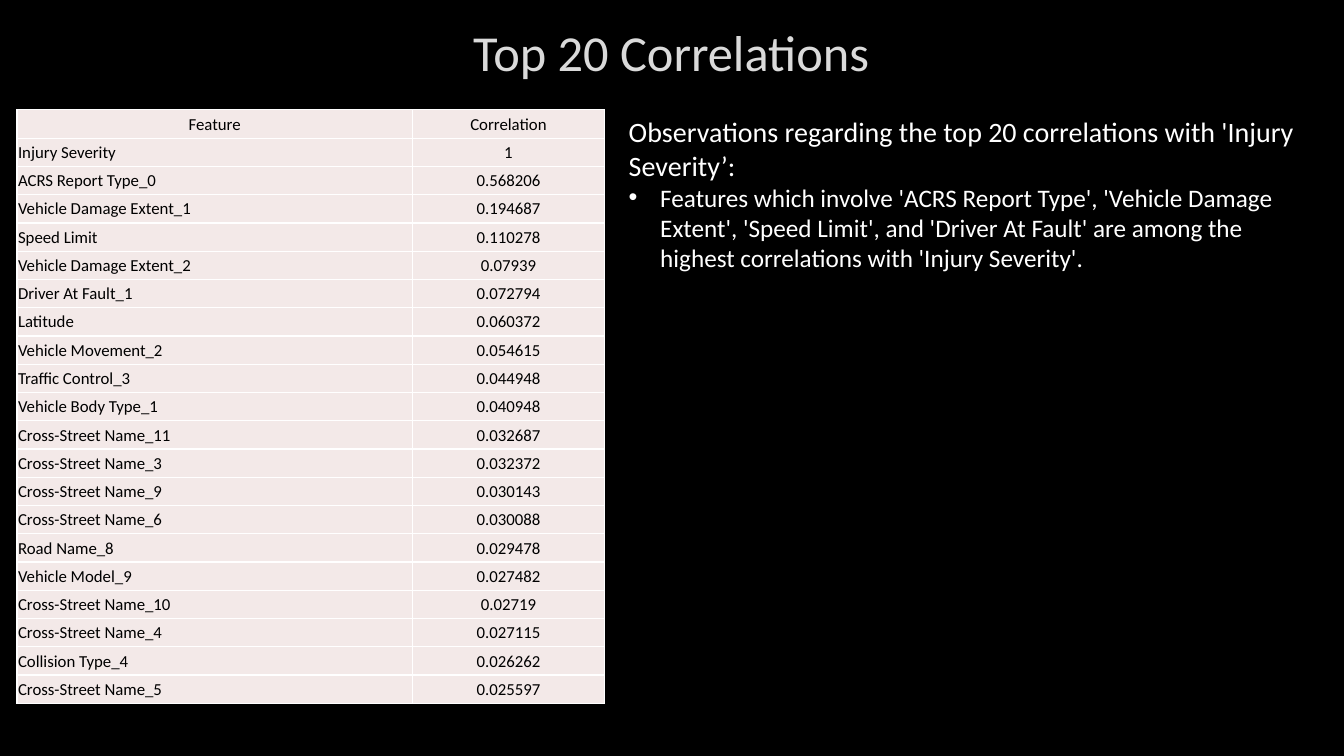
from lxml.etree import SubElement
from pptx import Presentation
from pptx.dml.color import RGBColor
from pptx.enum.text import MSO_ANCHOR as Anchor, PP_ALIGN as Align
from pptx.oxml.ns import qn
from pptx.util import Pt

TITLE = "Top 20 Correlations"
HEADER = ("Feature", "Correlation")
CORRELATIONS = [
    ("Injury Severity", "1"),
    ("ACRS Report Type_0", "0.568206"),
    ("Vehicle Damage Extent_1", "0.194687"),
    ("Speed Limit", "0.110278"),
    ("Vehicle Damage Extent_2", "0.07939"),
    ("Driver At Fault_1", "0.072794"),
    ("Latitude", "0.060372"),
    ("Vehicle Movement_2", "0.054615"),
    ("Traffic Control_3", "0.044948"),
    ("Vehicle Body Type_1", "0.040948"),
    ("Cross-Street Name_11", "0.032687"),
    ("Cross-Street Name_3", "0.032372"),
    ("Cross-Street Name_9", "0.030143"),
    ("Cross-Street Name_6", "0.030088"),
    ("Road Name_8", "0.029478"),
    ("Vehicle Model_9", "0.027482"),
    ("Cross-Street Name_10", "0.02719"),
    ("Cross-Street Name_4", "0.027115"),
    ("Collision Type_4", "0.026262"),
    ("Cross-Street Name_5", "0.025597"),
]
OBSERVATION_LEAD = "Observations regarding the top 20 correlations with 'Injury Severity’:"
OBSERVATIONS = [
    "Features which involve 'ACRS Report Type', 'Vehicle Damage Extent', "
    "'Speed Limit', and 'Driver At Fault' are among the highest correlations "
    "with 'Injury Severity'.",
]

FONT = "Calibri"
BLACK = RGBColor(0x00, 0x00, 0x00)
WHITE = RGBColor(0xFF, 0xFF, 0xFF)
SILVER = RGBColor(0xDA, 0xDA, 0xDA)
BLUSH = RGBColor(0xF3, 0xE9, 0xE8)

TABLE_LEFT, CONTENT_TOP = 12.2, 78.5
COLUMN_WIDTHS = (282.3, 137.5)
ROW_HEIGHT = 20.2
CELL_INSET = 0.7
BULLET_INDENT = 22.5


def add_span(para, text, size, color):
    span = para.add_run()
    span.text = text
    span.font.name = FONT
    span.font.size = Pt(size)
    span.font.color.rgb = color


def add_box(page, left, top, width, height):
    box = page.shapes.add_textbox(Pt(left), Pt(top), Pt(width), Pt(height))
    box.text_frame.word_wrap = True
    return box.text_frame


def set_borders(cell, color, width):
    """Draw all four edges of a cell; must run before the cell is filled."""
    props = cell._tc.get_or_add_tcPr()
    for edge in ("a:lnL", "a:lnR", "a:lnT", "a:lnB"):
        line = SubElement(props, qn(edge), w=str(Pt(width)))
        fill = SubElement(line, qn("a:solidFill"))
        SubElement(fill, qn("a:srgbClr"), val=str(color))


def set_bullet(para):
    props = para._p.get_or_add_pPr()
    props.set("marL", str(Pt(BULLET_INDENT)))
    props.set("indent", str(-Pt(BULLET_INDENT)))
    SubElement(props, qn("a:buFont"), typeface="Arial")
    SubElement(props, qn("a:buChar"), char="•")


def add_title(page):
    frame = add_box(page, 72, 13.7, 815, 46)
    frame.vertical_anchor = Anchor.MIDDLE
    para = frame.paragraphs[0]
    para.alignment = Align.CENTER
    add_span(para, TITLE, 36, SILVER)


def add_correlation_table(page):
    rows = [HEADER] + CORRELATIONS
    table = page.shapes.add_table(
        len(rows), len(HEADER), Pt(TABLE_LEFT), Pt(CONTENT_TOP),
        Pt(sum(COLUMN_WIDTHS)), Pt(ROW_HEIGHT * len(rows))).table
    table.first_row = table.horz_banding = False
    for column, width in zip(table.columns, COLUMN_WIDTHS):
        column.width = Pt(width)
    for r, values in enumerate(rows):
        table.rows[r].height = Pt(ROW_HEIGHT)
        for c, value in enumerate(values):
            cell = table.cell(r, c)
            set_borders(cell, WHITE, 1)
            cell.fill.solid()
            cell.fill.fore_color.rgb = BLUSH
            cell.vertical_anchor = Anchor.MIDDLE
            cell.margin_left = cell.margin_right = cell.margin_top = Pt(CELL_INSET)
            cell.margin_bottom = Pt(0)
            para = cell.text_frame.paragraphs[0]
            is_feature_name = r > 0 and c == 0
            para.alignment = Align.LEFT if is_feature_name else Align.CENTER
            add_span(para, value, 12, BLACK)


def add_observations(page):
    frame = add_box(page, 442, CONTENT_TOP, 505.5, 121)
    add_span(frame.paragraphs[0], OBSERVATION_LEAD, 20, WHITE)
    for observation in OBSERVATIONS:
        para = frame.add_paragraph()
        set_bullet(para)
        add_span(para, observation, 18, WHITE)


def main():
    deck = Presentation()
    deck.slide_width, deck.slide_height = Pt(960), Pt(540)
    page = deck.slides.add_slide(deck.slide_layouts[6])
    page.background.fill.solid()
    page.background.fill.fore_color.rgb = BLACK
    add_title(page)
    add_correlation_table(page)
    add_observations(page)
    deck.save("out.pptx")


if __name__ == "__main__":
    main()
